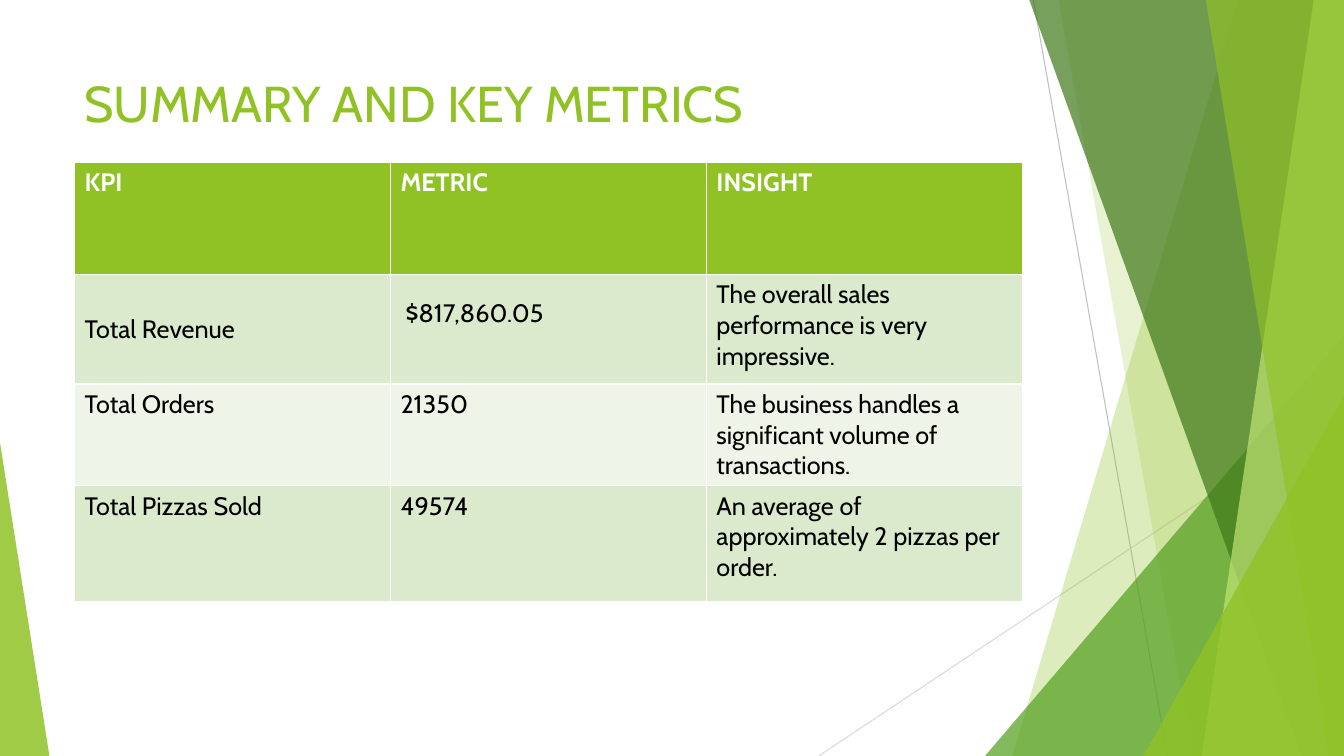
from lxml import etree
from pptx import Presentation
from pptx.dml.color import RGBColor
from pptx.enum.shapes import MSO_CONNECTOR as CONN, MSO_SHAPE as SHAPE
from pptx.enum.text import MSO_ANCHOR as ANCHOR
from pptx.oxml.ns import qn
from pptx.util import Inches, Pt

WIDTH, HEIGHT = Inches(13.33), Inches(7.5)
FONT = "Cabin"
GREEN, WHITE, BLACK = "90C226", "FFFFFF", "000000"
BANDS = ["DBE9CD", "EEF4E8"]

METRICS = [
    ["KPI", "METRIC", "INSIGHT"],
    ["Total Revenue", "$817,860.05", "The overall sales performance is very impressive."],
    ["Total Orders", "21350", "The business handles a significant volume of transactions."],
    ["Total Pizzas Sold", "49574", "An average of approximately 2 pizzas per order."],
]
ROW_HEIGHTS = [1.11, 1.09, 1.01, 1.15]


# Positions are percentages of the slide
def across(share):
    return round(WIDTH * share / 100)


def down(share):
    return round(HEIGHT * share / 100)


def rgb(color):
    return RGBColor.from_string(color)


def paint(sp, color, opacity):
    sp.shadow.inherit = False
    sp.line.fill.background()
    sp.fill.solid()
    sp.fill.fore_color.rgb = rgb(color)
    clr = sp.fill._xPr.find(qn("a:solidFill"))[0]
    etree.SubElement(clr, qn("a:alpha"), val=str(opacity * 1000))


def add_thin_line(slide, x1, y1, x2, y2, color):
    line = slide.shapes.add_connector(
        CONN.STRAIGHT, across(x1), down(y1), across(x2), down(y2))
    line.line.color.rgb = rgb(color)
    line.line.width = Pt(0.75)
    etree.SubElement(line._element.spPr, qn("a:effectLst"))


def add_shard(slide, top_x, bottom_x, color, opacity):
    """Full-height band from a slanted left edge to the right slide edge."""
    fb = slide.shapes.build_freeform(across(top_x), 0)
    fb.add_line_segments(
        [(WIDTH, 0), (WIDTH, HEIGHT), (across(bottom_x), HEIGHT)], close=True)
    paint(fb.convert_to_shape(), color, opacity)


def add_corner(slide, left, top, right, apex, color, opacity):
    """Right-angled triangle standing on the bottom slide edge."""
    sp = slide.shapes.add_shape(
        SHAPE.ISOSCELES_TRIANGLE, across(left), down(top),
        across(right - left), HEIGHT - down(top))
    sp.adjustments[0] = apex
    paint(sp, color, opacity)


def add_run(p, text, size, color, bold=False):
    r = p.add_run()
    r.text = text
    r.font.name = FONT
    r.font.size = Pt(size)
    r.font.bold = bold
    r.font.color.rgb = rgb(color)


def add_title(slide, text):
    box = slide.shapes.add_textbox(across(5.55), down(8.93), across(70.52), down(19.2))
    tf = box.text_frame
    tf.word_wrap = True
    tf.vertical_anchor = ANCHOR.TOP
    add_run(tf.paragraphs[0], text, 36, GREEN)


def add_metrics_table(slide):
    frame = slide.shapes.add_table(
        len(METRICS), len(METRICS[0]), across(5.55), down(21.47),
        across(70.52), Inches(sum(ROW_HEIGHTS)))
    table = frame.table
    for i, (height, texts) in enumerate(zip(ROW_HEIGHTS, METRICS)):
        table.rows[i].height = Inches(height)
        header = i == 0
        for j, text in enumerate(texts):
            cell = table.cell(i, j)
            cell.fill.solid()
            cell.fill.fore_color.rgb = rgb(GREEN if header else BANDS[(i - 1) % 2])
            add_run(cell.text_frame.paragraphs[0], text, 18,
                    WHITE if header else BLACK, header)
    # The revenue row is centred, its amount set slightly higher and inward
    label, amount = table.cell(1, 0), table.cell(1, 1)
    label.vertical_anchor = amount.vertical_anchor = ANCHOR.MIDDLE
    amount.margin_left = Inches(0.15)
    amount.margin_bottom = Inches(0.36)


def add_backdrop(slide):
    add_thin_line(slide, 76.89, 0, 86.87, 100, "BFBFBF")
    add_thin_line(slide, 100, 53.73, 60.92, 100, "D9D9D9")
    add_shard(slide, 92.12, 75.32, GREEN, 30)
    add_shard(slide, 78.77, 88.75, GREEN, 20)
    add_corner(slide, 73.29, 44.4, 100, 1, "54A021", 72)
    add_shard(slide, 76.59, 96.85, "3F7819", 70)
    add_shard(slide, 97.75, 89.42, "C0E474", 70)
    add_shard(slide, 89.72, 98.87, GREEN, 65)
    add_corner(slide, 85.07, 52.4, 100, 1, GREEN, 80)
    add_corner(slide, 0, 58.53, 3.68, 0, GREEN, 85)


def main():
    prs = Presentation()
    prs.slide_width, prs.slide_height = WIDTH, HEIGHT
    slide = prs.slides.add_slide(prs.slide_layouts[6])
    add_backdrop(slide)
    add_title(slide, "SUMMARY AND KEY METRICS")
    add_metrics_table(slide)
    prs.save("out.pptx")


if __name__ == "__main__":
    main()
